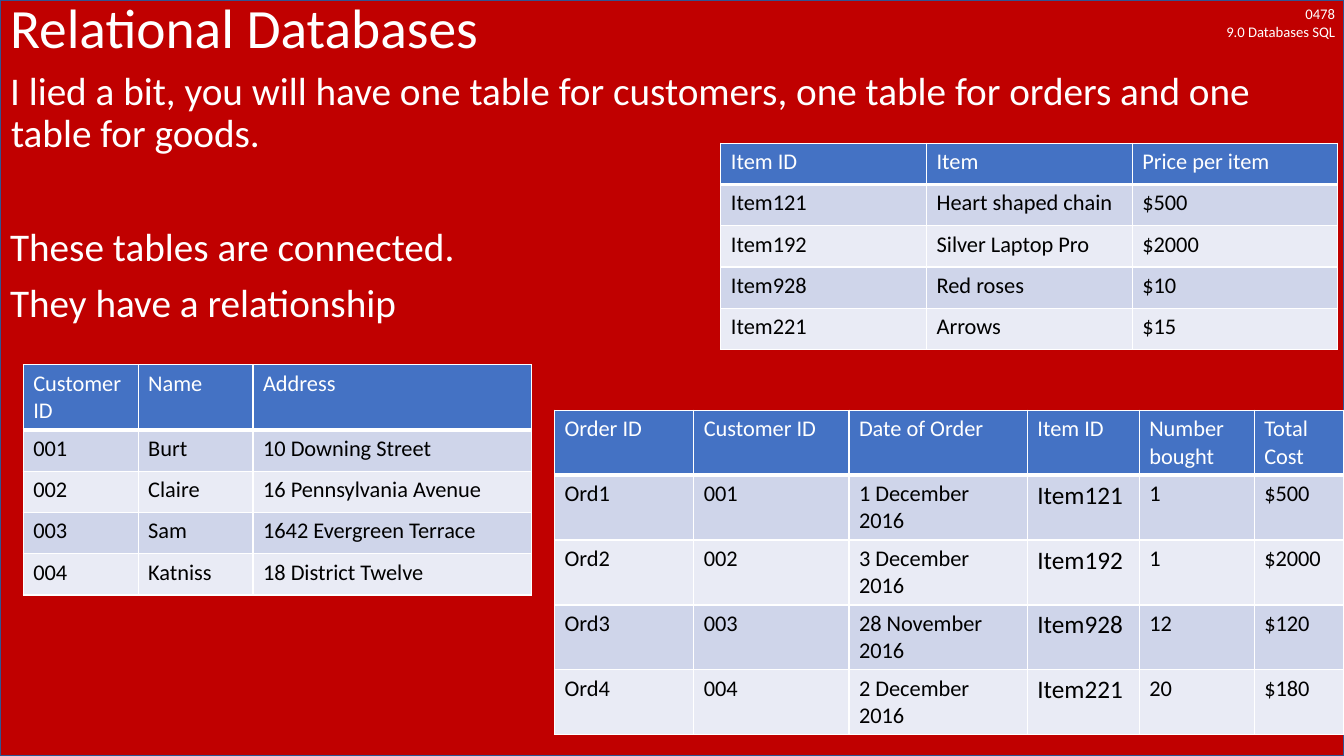
from lxml.etree import SubElement
from pptx import Presentation
from pptx.dml.color import RGBColor
from pptx.enum.shapes import MSO_SHAPE
from pptx.enum.text import MSO_ANCHOR, MSO_AUTO_SIZE, PP_ALIGN
from pptx.oxml.ns import qn
from pptx.util import Inches, Pt

RED = RGBColor(0xC0, 0x00, 0x00)
NAVY = RGBColor(0x32, 0x54, 0x91)
BLUE = RGBColor(0x44, 0x72, 0xC4)
BAND = RGBColor(0xCF, 0xD5, 0xEA)
PALE = RGBColor(0xE9, 0xEB, 0xF5)
WHITE = RGBColor(0xFF, 0xFF, 0xFF)
BLACK = RGBColor(0x00, 0x00, 0x00)
FONT = "Calibri"
WIDTH, HEIGHT = 13.33, 7.5
LINE_ROW, DOUBLE_ROW = 0.41, 0.64

BODY = [
    ("I lied a bit, you will have one table for customers, one table for orders and one table for goods.", 0),
    ("These tables are connected.", 51),
    ("They have a relationship", 10),
]
CUSTOMERS = [
    ("Customer ID", "Name", "Address"),
    ("001", "Burt", "10 Downing Street"),
    ("002", "Claire", "16 Pennsylvania Avenue"),
    ("003", "Sam", "1642 Evergreen Terrace"),
    ("004", "Katniss", "18 District Twelve"),
]
GOODS = [
    ("Item ID", "Item", "Price per item"),
    ("Item121", "Heart shaped chain", "$500"),
    ("Item192", "Silver Laptop Pro", "$2000"),
    ("Item928", "Red roses", "$10"),
    ("Item221", "Arrows", "$15"),
]
ORDERS = [
    ("Order ID", "Customer ID", "Date of Order", "Item ID", "Number bought", "Total Cost"),
    ("Ord1", "001", "1 December 2016", "Item121", "1", "$500"),
    ("Ord2", "002", "3 December 2016", "Item192", "1", "$2000"),
    ("Ord3", "003", "28 November 2016", "Item928", "12", "$120"),
    ("Ord4", "004", "2 December 2016", "Item221", "20", "$180"),
]


class Deck:
    """Holds the slide and draws its elements in one style."""

    def __init__(self):
        self.prs = Presentation()
        self.prs.slide_width, self.prs.slide_height = Inches(WIDTH), Inches(HEIGHT)
        self.s = self.prs.slides.add_slide(self.prs.slide_layouts[1])

    def run(self, p, text, size, color=WHITE):
        r = p.add_run()
        r.text = text
        r.font.name, r.font.size, r.font.color.rgb = FONT, Pt(size), color

    def backdrop(self):
        sp = self.s.shapes.add_shape(MSO_SHAPE.RECTANGLE, 0, 0, Inches(WIDTH), Inches(HEIGHT))
        sp.shadow.inherit = False
        sp.fill.solid()
        sp.fill.fore_color.rgb = RED
        sp.line.color.rgb, sp.line.width = NAVY, Pt(1)

    def header(self, lines, left, top, width, height):
        sp = self.s.shapes.add_textbox(*map(Inches, (left, top, width, height)))
        tf = sp.text_frame
        tf.word_wrap, tf.auto_size = True, MSO_AUTO_SIZE.SHAPE_TO_FIT_TEXT
        p = tf.paragraphs[0]
        p.alignment = PP_ALIGN.RIGHT
        for i, line in enumerate(lines):
            if i:
                p.add_line_break()
            self.run(p, line, 10.5)

    def placeholder(self, idx, paragraphs, size, top, height, anchor, indent=0):
        sp = self.s.placeholders[idx]
        sp.element.getparent().append(sp.element)
        sp.left, sp.top, sp.width, sp.height = map(Inches, (0, top, WIDTH, height))
        tf = sp.text_frame
        tf.word_wrap, tf.auto_size, tf.vertical_anchor = True, MSO_AUTO_SIZE.NONE, anchor
        for i, (text, before) in enumerate(paragraphs):
            p = tf.add_paragraph() if i else tf.paragraphs[0]
            p.alignment, p.line_spacing, p.space_before = PP_ALIGN.LEFT, 0.9, Pt(before)
            pPr = p._p.get_or_add_pPr()
            pPr.set("marL", str(Inches(indent)))
            pPr.set("indent", str(-Inches(indent)))
            SubElement(pPr, qn("a:buNone"))
            self.run(p, text, size)

    def border(self, cell, header):
        tcPr = cell._tc.get_or_add_tcPr()
        for side in "LRTB":
            width = 3 if header and side == "B" else 1
            ln = SubElement(tcPr, qn(f"a:ln{side}"), w=str(Pt(width)))
            SubElement(SubElement(ln, qn("a:solidFill")), qn("a:srgbClr"), val=str(WHITE))

    def table(self, rows, left, top, widths, heights, large_column=None):
        frame = self.s.shapes.add_table(
            len(rows), len(widths), *map(Inches, (left, top, sum(widths), sum(heights))))
        tbl = frame.table
        tbl.first_row = tbl.horz_banding = False
        for col, width in zip(tbl.columns, widths):
            col.width = Inches(width)
        for i, values in enumerate(rows):
            tbl.rows[i].height = Inches(heights[i])
            fill = (PALE, BAND)[i % 2] if i else BLUE
            for j, text in enumerate(values):
                cell = tbl.cell(i, j)
                self.border(cell, i == 0)
                cell.fill.solid()
                cell.fill.fore_color.rgb = fill
                size = 18 if i and j == large_column else 16
                self.run(cell.text_frame.paragraphs[0], text, size, BLACK if i else WHITE)


def main():
    deck = Deck()
    deck.backdrop()
    deck.header(["0478", "9.0 Databases SQL"], 10.86, 0, 2.48, 0.45)
    deck.placeholder(0, [("Relational Databases", 0)], 39.6, 0, 0.61, MSO_ANCHOR.MIDDLE)
    deck.placeholder(1, BODY, 28, 0.66, 6.84, MSO_ANCHOR.TOP, 0.01)
    deck.table(CUSTOMERS, 0.23, 3.62, [1.14, 1.14, 2.76], [DOUBLE_ROW] + [LINE_ROW] * 4)
    deck.table(GOODS, 7.15, 1.42, [2.04] * 3, [LINE_ROW] * 5)
    deck.table(ORDERS, 5.5, 4.07, [1.38, 1.54, 1.77, 1.11, 1.14, 0.89], [DOUBLE_ROW] * 5, 3)
    deck.prs.save("out.pptx")


if __name__ == "__main__":
    main()
